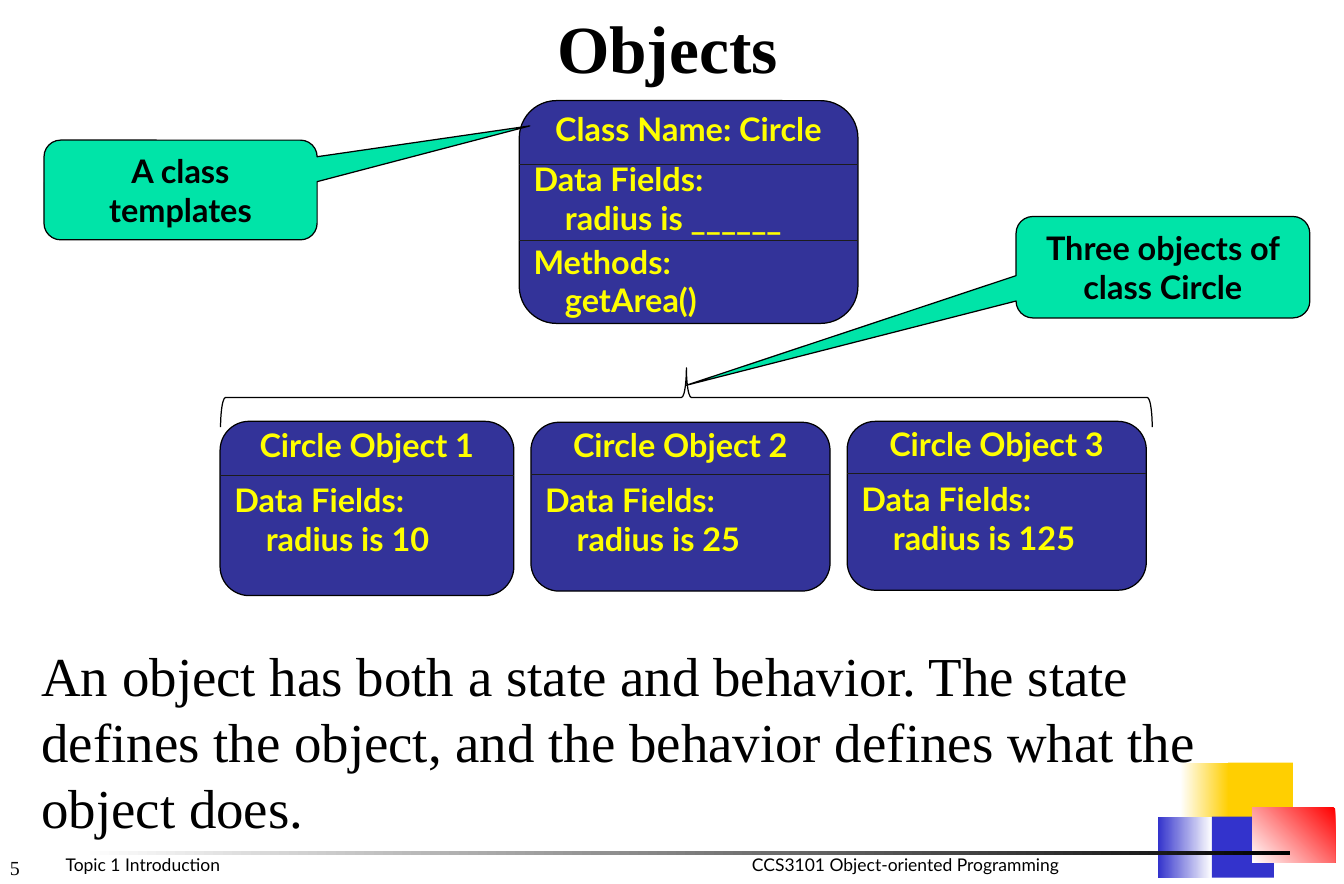
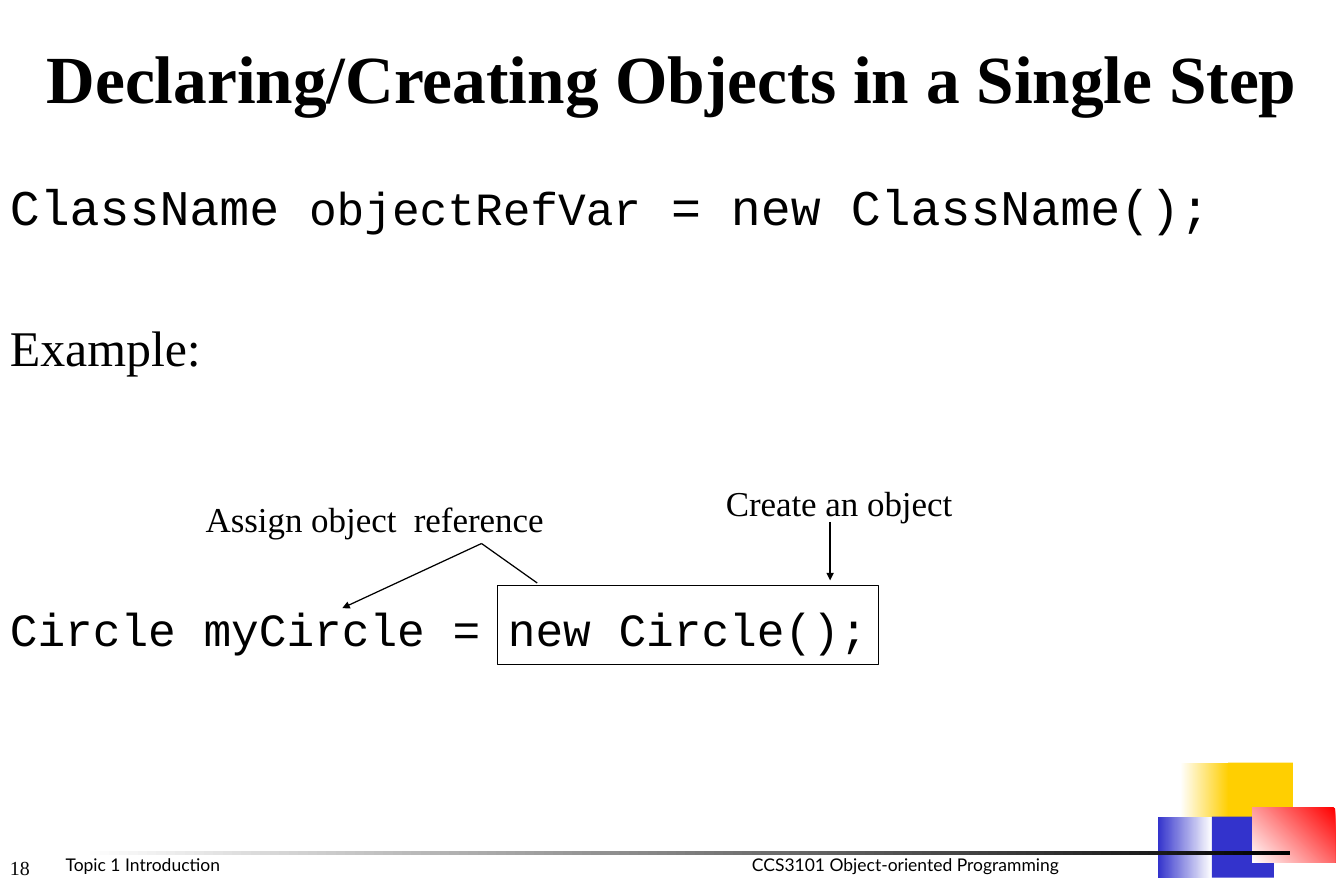
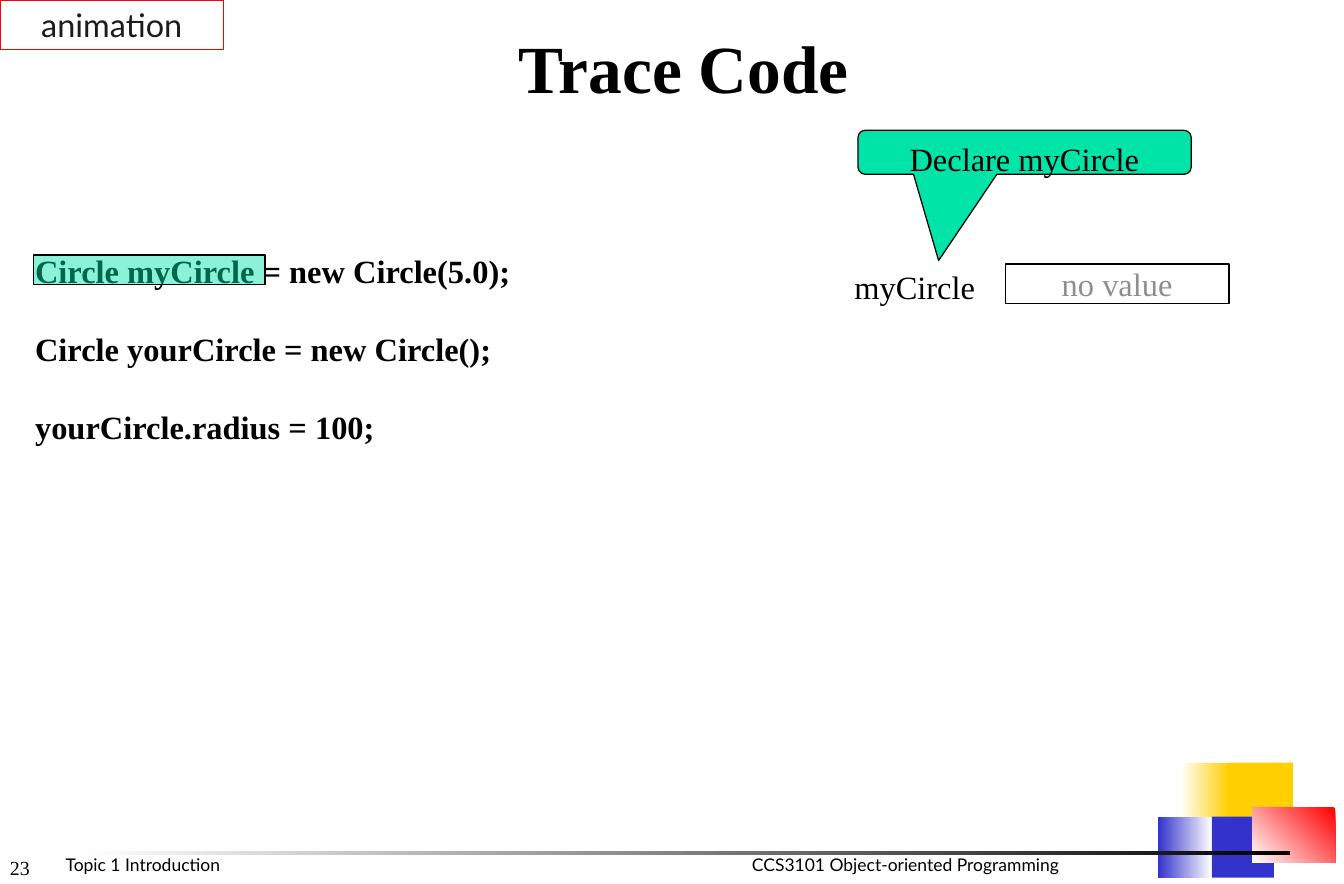
"""Build three slides on objects and classes in object-oriented programming."""
from dataclasses import dataclass, replace

from lxml import etree
from pptx import Presentation
from pptx.dml.color import RGBColor
from pptx.enum import shapes, text
from pptx.oxml import ns
from pptx.util import Inches, Pt

SHAPE = shapes.MSO_SHAPE
TOP, MIDDLE, BOTTOM = text.MSO_ANCHOR.TOP, text.MSO_ANCHOR.MIDDLE, text.MSO_ANCHOR.BOTTOM
LEFT, CENTER = text.PP_ALIGN.LEFT, text.PP_ALIGN.CENTER


@dataclass(frozen=True)
class Style:
    font: str
    size: int
    color: str = "000000"
    bold: bool = False


class Theme:
    serif, sans, mono = "Times New Roman", "Lato", "Courier New"
    black, white, ink = "000000", "FFFFFF", "1C1C1C"
    navy, mint, red = "333399", "00E4A8", "FF0000"
    gold, blue = "FFCF01", "3333CC"
    title = Style(serif, 54, bold=True)
    statement = Style(serif, 44)
    example = Style(serif, 40)
    syntax = Style(mono, 40)
    code = Style(mono, 37)
    note = Style(serif, 28)
    label = Style(serif, 26)
    trace = replace(label, bold=True)
    faded = replace(label, color="8E8E8E")
    callout = Style(sans, 26, bold=True)
    card = replace(callout, color="FFFF00")
    tag = Style(sans, 26, ink)
    footer = Style(sans, 14)
    number = Style(serif, 16, "080808")
    wide, medium, normal, tight = (0.14, 0.07), (0.11, 0.06), (0.1, 0.05), (0.01, 0.01)


BACKDROP = [
    ((13.14, 8.49, 0.54, 0.68), (Theme.white, Theme.gold), 0),
    ((12.89, 9.09, 0.6, 0.68), (Theme.blue, Theme.white), 0),
    ((13.67, 8.49, 0.72, 0.68), (Theme.gold,), 0),
    ((13.49, 9.09, 0.69, 0.68), (Theme.blue,), 0),
    ((13.94, 8.99, 0.92, 0.61), (Theme.red, Theme.white), 225),
    ((0.9, 9.47, 13.46, 0.05), (Theme.white, Theme.black), 0),
]
FOOTERS = [(0.62, "Topic 1 Introduction"), (8.26, "CCS3101 Object-oriented Programming")]

CARDS = [
    ((5.78, 1.12, 3.77, 2.48), "Class Name: Circle", 0.61, [
        (1.83, 1.72, "Data Fields:", "radius is ______"),
        (2.68, 2.64, "Methods:", "getArea()")]),
    ((2.45, 4.69, 3.27, 1.94), "Circle Object 1", 0.51, [
        (5.29, 5.3, "Data Fields:", "radius is 10")]),
    ((5.91, 4.7, 3.33, 1.88), "Circle Object 2", 0.5, [
        (5.28, 5.29, "Data Fields:", "radius is 25")]),
    ((9.43, 4.69, 3.33, 1.88), "Circle Object 3", 0.5, [
        (5.27, 5.28, "Data Fields:", "radius is 125")]),
]
STATEMENT = ("An object has both a state and behavior. The state defines the object, "
             "and the behavior defines what the object does.")
CALLOUTS = [
    ((0.49, 1.56, 3.04, 1.11), (1.279, -0.643), "A class templates"),
    ((11.31, 2.41, 3.27, 1.13), (-1.622, 1.163), "Three objects of class Circle"),
]

SYNTAX = [
    [("ClassName ", Theme.syntax), ("objectRefVar", Theme.code),
     (" = new ClassName();", Theme.syntax)],
    [("Example:", Theme.example)],
    [("Circle myCircle = new Circle();", Theme.code)],
]
SYNTAX_GAPS = (0, 65, 180)
NOTES = [
    ((7.98, 5.31, 2.75, 0.57), "Create an object"),
    ((2.19, 5.49, 4.97, 0.57), "Assign object  reference"),
]
POINTERS = [
    ((9.24, 5.81), (9.24, 6.46), True),
    ((5.98, 6.49), (5.36, 6.05), False),
    ((5.36, 6.05), (3.81, 6.77), True),
]

TRACE = ["Circle myCircle = new Circle(5.0);", "Circle yourCircle = new Circle();",
         "yourCircle.radius = 100;"]


def inches(values):
    return [Inches(value) for value in values]


def rgb(color):
    return RGBColor.from_string(color)


def write(frame, lines, style, inset=Theme.normal, align=LEFT, anchor=TOP,
          wrap=True, gaps=(), indents=()):
    frame.auto_size = text.MSO_AUTO_SIZE.NONE
    frame.word_wrap, frame.vertical_anchor = wrap, anchor
    frame.margin_left = frame.margin_right = Inches(inset[0])
    frame.margin_top = frame.margin_bottom = Inches(inset[1])
    for index, line in enumerate(lines):
        para = frame.add_paragraph() if index else frame.paragraphs[0]
        props = para._p.get_or_add_pPr()
        props.set("marL", str(Inches(indents[index] if indents else 0)))
        props.set("indent", "0")
        etree.SubElement(props, ns.qn("a:buNone"))
        para.alignment = align
        para.space_before = Pt(gaps[index] if gaps else 0)
        for words, look in [(line, style)] if isinstance(line, str) else line:
            span = para.add_run()
            span.text = words
            span.font.name, span.font.size = look.font, Pt(look.size)
            span.font.bold = look.bold
            span.font.color.rgb = rgb(look.color)


def add_text(page, at, lines, style, **options):
    box = page.shapes.add_textbox(*inches(at))
    write(box.text_frame, lines, style, **options)
    return box


def add_box(page, kind, at, colors=(), line=None, angle=0, adjust=()):
    box = page.shapes.add_shape(kind, *inches(at))
    box.shadow.inherit = False
    for index, value in enumerate(adjust):
        box.adjustments[index] = value
    if len(colors) == 2:
        box.fill.gradient()
        box.fill.gradient_angle = angle
        for stop, color in zip(box.fill.gradient_stops, colors):
            stop.color.rgb = rgb(color)
    elif colors:
        box.fill.solid()
        box.fill.fore_color.rgb = rgb(colors[0])
    else:
        box.fill.background()
    if line:
        box.line.color.rgb, box.line.width = rgb(line), Pt(1)
    else:
        box.line.fill.background()
    return box


def add_line(page, start, end, color=Theme.black, arrow=False):
    line = page.shapes.add_connector(
        shapes.MSO_CONNECTOR.STRAIGHT, *inches(start + end))
    line.line.color.rgb, line.line.width = rgb(color), Pt(1)
    if arrow:
        etree.SubElement(line.line._get_or_add_ln(), ns.qn("a:tailEnd"), type="triangle")
    etree.SubElement(line.element.spPr, ns.qn("a:effectLst"))


def add_callout(page, at, tip, words, style):
    box = add_box(page, SHAPE.ROUNDED_RECTANGULAR_CALLOUT, at, (Theme.mint,),
                  Theme.black, adjust=(*tip, 0.167))
    write(box.text_frame, [words], style, Theme.wide, CENTER)


def add_card(page, at, heading, heading_height, sections):
    left, top, width, _ = at
    add_box(page, SHAPE.ROUNDED_RECTANGLE, at, (Theme.navy,), Theme.black, adjust=(0.167,))
    add_text(page, (left, top, width, heading_height), [heading], Theme.card,
             inset=Theme.tight, align=CENTER, anchor=MIDDLE)
    for divider, text_top, name, member in sections:
        add_line(page, (left, divider), (left + width, divider), Theme.ink)
        add_text(page, (left + 0.06, text_top, width - 0.12, 0.98), [name, member],
                 Theme.card, indents=(0, 0.35))


def add_backdrop(page, layout):
    parts = [add_box(page, SHAPE.RECTANGLE, at, colors, angle=angle)
             for at, colors, angle in BACKDROP]
    parts += [add_text(page, (left, 9.45, 6, 0.35), [words], Theme.footer, inset=Theme.medium)
              for left, words in FOOTERS]
    for number, part in enumerate(parts, 100):
        part.element.nvSpPr.cNvPr.set("id", str(number))
        layout.shapes.element.append(part.element)


def start_page(deck, layout, number, title, title_at, body_at):
    page = deck.slides.add_slide(layout)
    heading, body = page.shapes.title, page.placeholders[1]
    for holder, at in ((heading, title_at), (body, body_at)):
        holder.left, holder.top, holder.width, holder.height = inches(at)
    write(heading.text_frame, [title], Theme.title, Theme.wide, CENTER)
    add_text(page, (0, 9.19, 3.12, 0.66), [number], Theme.number,
             inset=Theme.medium, anchor=BOTTOM)
    return page, body.text_frame


def build_objects(deck, layout):
    page, body = start_page(deck, layout, "5", "Objects",
                            (1.07, 0, 12.72, 0.88), (0.32, 7.07, 14.21, 2.36))
    add_backdrop(page, layout)
    write(body, [STATEMENT], Theme.statement, Theme.wide)
    for card in CARDS:
        add_card(page, *card)
    for callout in CALLOUTS:
        add_callout(page, *callout, Theme.callout)
    brace = add_box(page, SHAPE.LEFT_BRACE, (7.31, -0.76, 0.66, 10.37),
                    line=Theme.black, adjust=(0.083, 0.5))
    brace.rotation = 90


def build_single_step(deck, layout):
    page, body = start_page(deck, layout, "18", "Declaring/Creating Objects in a Single Step",
                            (0, 0.33, 14.96, 1.23), (0, 1.89, 14.96, 5.8))
    write(body, SYNTAX, Theme.syntax, Theme.medium, gaps=SYNTAX_GAPS)
    add_box(page, SHAPE.RECTANGLE, (5.54, 6.52, 4.24, 0.88), line=Theme.black)
    for at, words in NOTES:
        add_text(page, at, [words], Theme.note)
    for start, end, arrow in POINTERS:
        add_line(page, start, end, arrow=arrow)


def build_trace(deck, layout):
    page, body = start_page(deck, layout, "23", "Trace Code",
                            (1.25, 0.22, 12.72, 0.88), (0.25, 2.73, 7.85, 2.33))
    write(body, TRACE, Theme.trace, Theme.wide, gaps=(0, 31, 31))
    highlight = add_box(page, SHAPE.RECTANGLE, (0.37, 2.84, 2.58, 0.33),
                        (Theme.mint,), Theme.black)
    tint = highlight.element.spPr.find(ns.qn("a:solidFill"))[0]
    etree.SubElement(tint, ns.qn("a:alpha"), val="45000")
    add_callout(page, (9.55, 1.45, 3.71, 0.49), (-0.258, 2.459),
                "Declare myCircle", Theme.label)
    value = add_box(page, SHAPE.RECTANGLE, (11.19, 2.94, 2.49, 0.44), line=Theme.black)
    write(value.text_frame, ["no value"], Theme.faded, Theme.tight, CENTER, MIDDLE, False)
    add_text(page, (9.37, 2.9, 1.85, 0.58), ["myCircle"], Theme.label, inset=Theme.wide)
    tag = add_box(page, SHAPE.RECTANGLE, (0, 0, 2.49, 0.55), line=Theme.red)
    write(tag.text_frame, ["animation"], Theme.tag, Theme.wide, CENTER, MIDDLE, False)


def main():
    deck = Presentation()
    deck.slide_width, deck.slide_height = Inches(14.96), Inches(9.84)
    layout = deck.slide_layouts[1]
    for build in (build_objects, build_single_step, build_trace):
        build(deck, layout)
    deck.save("out.pptx")


if __name__ == "__main__":
    main()
